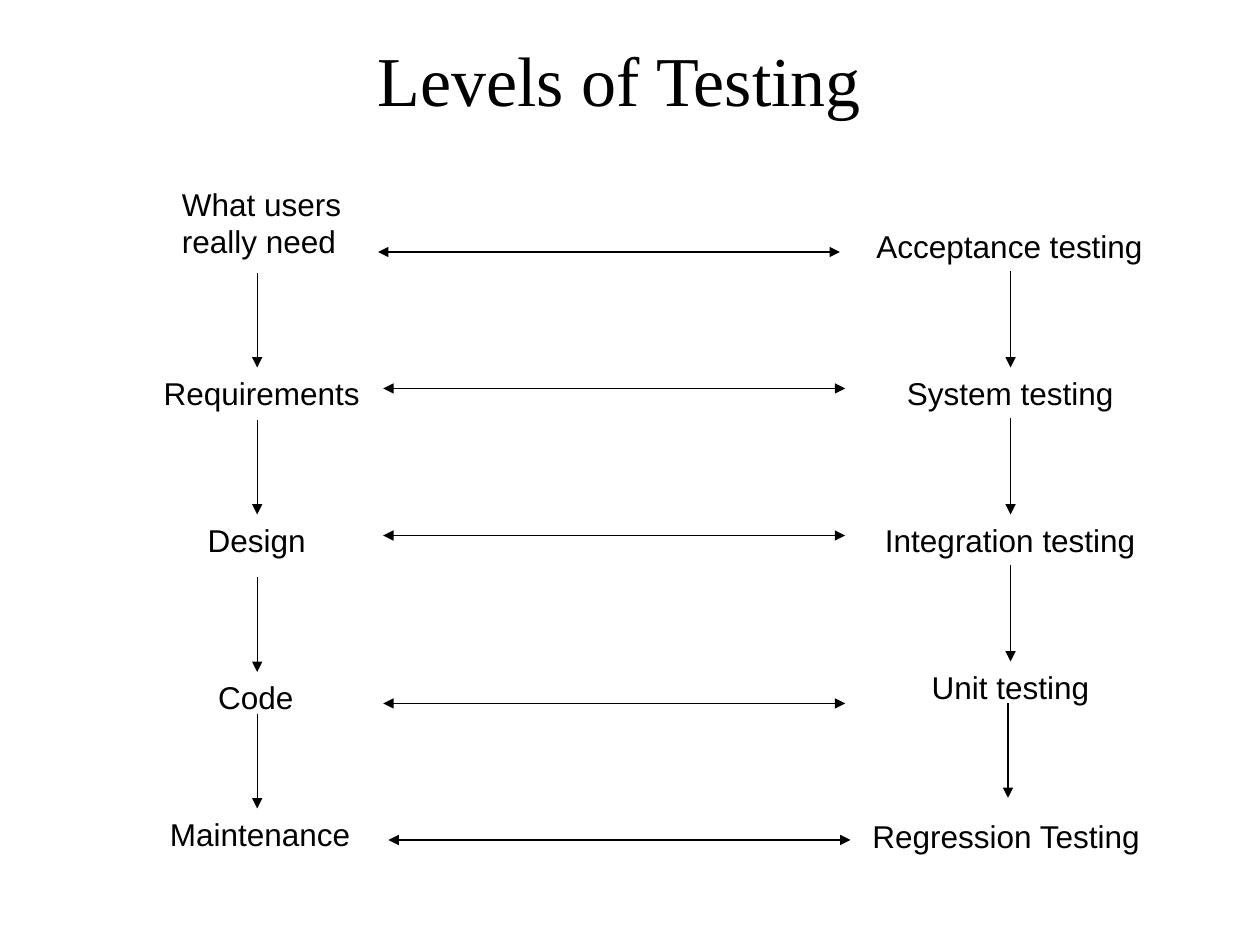
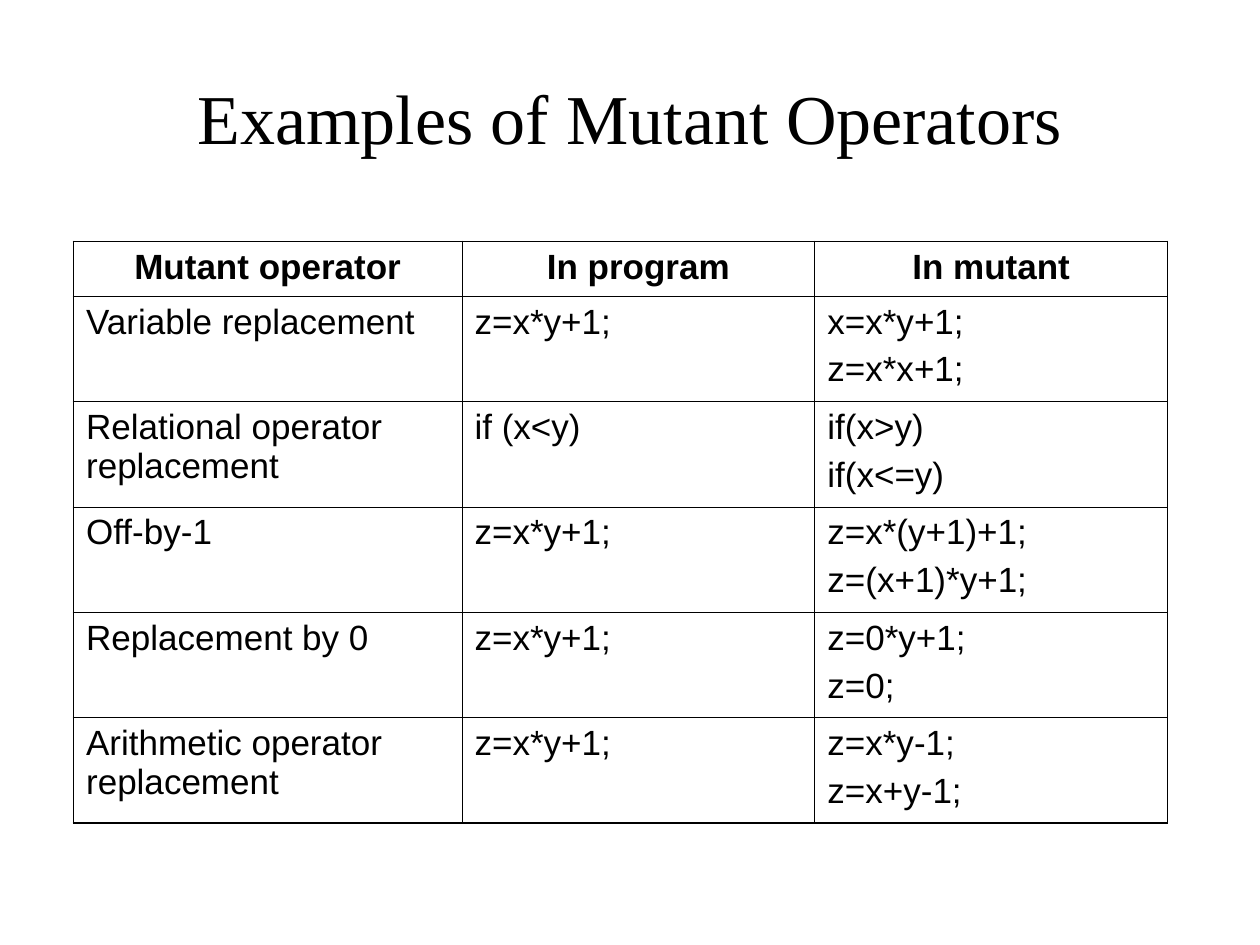
from lxml.etree import SubElement
from pptx import Presentation
from pptx.dml.color import RGBColor
from pptx.enum.shapes import MSO_CONNECTOR as Connector
from pptx.enum.text import MSO_ANCHOR as Anchor, MSO_AUTO_SIZE as AutoSize, PP_ALIGN as Align
from pptx.oxml.ns import qn
from pptx.util import Inches, Pt

COLORS = {"ink": "000000", "paper": "FFFFFF"}
TITLE_FONT, BODY_FONT = "Times New Roman", "Arial"
INK = RGBColor.from_string(COLORS["ink"])
PAPER = RGBColor.from_string(COLORS["paper"])

deck = Presentation()
deck.slide_width, deck.slide_height = Inches(10), Inches(7.5)
UNIT = deck.slide_width / 120  # grid of 120 columns by 90 rows


def write(frame, lines, font, size, align=Align.LEFT, bold=False, before=0):
    """Fill a text frame with one paragraph per line."""
    for index, line in enumerate(lines):
        para = frame.paragraphs[0] if index == 0 else frame.add_paragraph()
        para.alignment = align
        para.space_before = Pt(before)
        span = para.add_run()
        span.text = line
        span.font.name, span.font.size = font, Pt(size)
        span.font.bold = bold
        span.font.color.rgb = INK


def add_arrow(page, x, y, across=0, down=0, both_ends=False):
    """Draw an arrow from a grid point, with a head at one or both ends."""
    ends = [round(value * UNIT) for value in (x, y, x + across, y + down)]
    arrow = page.shapes.add_connector(Connector.STRAIGHT, *ends)
    arrow.line.color.rgb = INK
    arrow.line.width = Pt(0.75)
    line = arrow.line._get_or_add_ln()
    for tag in ("a:headEnd", "a:tailEnd") if both_ends else ("a:tailEnd",):
        SubElement(line, qn(tag), type="triangle")
    SubElement(arrow._element.spPr, qn("a:effectLst"))
    return arrow


# Pages and their titles: left, top, width, height
titles = [
    ("Levels of Testing", (5, 0, 108, 15)),
    ("Examples of Mutant Operators", (6, 2.5, 108, 17.2)),
]
pages = []
for title, area in titles:
    page = deck.slides.add_slide(deck.slide_layouts[6])
    page.background.fill.solid()
    page.background.fill.fore_color.rgb = PAPER
    box = page.shapes.add_textbox(*[round(value * UNIT) for value in area])
    box.text_frame.word_wrap = True
    box.text_frame.vertical_anchor = Anchor.MIDDLE
    write(box.text_frame, [title], TITLE_FONT, 40, Align.CENTER)
    pages.append(page)
levels_page, mutants_page = pages

# Levels: text, centre column, top row, width, height
LEFT, RIGHT, LINE = 24.5, 96.25, 4.8
stages = [
    (["What users", "really need"], 25, 17, 17.7, 8.4),
    (["Requirements"], 25, 35, 21.2, LINE),
    (["Design"], LEFT, 49, 11.8, LINE),
    (["Code"], LEFT, 64, 9.8, LINE),
    (["Maintenance"], 25, 77, 20, LINE),
]
tests = [
    (["Acceptance testing"], RIGHT, 21, 27.9, LINE),
    (["System testing"], RIGHT, 35, 22.1, LINE),
    (["Integration testing"], RIGHT, 49, 26.3, LINE),
    (["Unit testing"], RIGHT, 63, 17.4, LINE),
    (["Regression Testing"], 96, 77.2, 28.2, LINE),
]
columns = []
for entries in (stages, tests):
    boxes = []
    for lines, centre, top, width, height in entries:
        area = (centre - width / 2, top, width, height)
        box = levels_page.shapes.add_textbox(*[round(value * UNIT) for value in area])
        box.text_frame.word_wrap = False
        box.text_frame.auto_size = AutoSize.SHAPE_TO_FIT_TEXT
        write(box.text_frame, lines, BODY_FONT, 18)
        boxes.append(box)
    columns.append(boxes)
stage_boxes, test_boxes = columns

# Downward arrows, joined where they meet the middle of a box side
STEP = 9
stage_arrows = [add_arrow(levels_page, LEFT, row, down=STEP) for row in (26, 40, 55, 68)]
for index in (1, 2):
    stage_arrows[index].end_connect(stage_boxes[index + 1], 0)
for index, row in enumerate((26, 40, 54)):
    arrow = add_arrow(levels_page, RIGHT, row, down=STEP)
    arrow.begin_connect(test_boxes[index], 2)
    arrow.end_connect(test_boxes[index + 1], 0)
add_arrow(levels_page, 96, 67, down=STEP)

# Double arrows pairing each stage with its test
for column, row in ((36, 24), (36.5, 37), (36.5, 51), (36.5, 67), (37, 80)):
    add_arrow(levels_page, column, row, across=44, both_ends=True)

# Mutant operators table
records = [
    ("Mutant operator", "In program", "In mutant"),
    ("Variable replacement", "z=x*y+1;", "x=x*y+1;\nz=x*x+1;"),
    ("Relational operator replacement", "if (x<y)", "if(x>y)\nif(x<=y)"),
    ("Off-by-1", "z=x*y+1;", "z=x*(y+1)+1;\nz=(x+1)*y+1;"),
    ("Replacement by 0", "z=x*y+1;", "z=0*y+1;\nz=0;"),
    ("Arithmetic operator replacement", "z=x*y+1;", "z=x*y-1;\nz=x+y-1;"),
]
widths = [37, 33.6, 33.6]
heights = [5.2] + [10.04] * 5
area = (7, 23, sum(widths), sum(heights))
table = mutants_page.shapes.add_table(
    len(records), len(widths), *[round(value * UNIT) for value in area]).table
table.first_row = table.horz_banding = False
for column, width in zip(table.columns, widths):
    column.width = round(width * UNIT)
for row, height in zip(table.rows, heights):
    row.height = round(height * UNIT)

last_row, last_column = len(records) - 1, len(widths) - 1
for r, record in enumerate(records):
    for c, text in enumerate(record):
        cell = table.cell(r, c)
        cell.margin_left = cell.margin_right = Inches(0.1)
        cell.margin_top = cell.margin_bottom = Inches(0.05)
        cell.fill.solid()
        cell.fill.fore_color.rgb = PAPER
        align = Align.CENTER if r == 0 else Align.LEFT
        write(cell.text_frame, text.split("\n"), BODY_FONT, 20, align, r == 0, before=5)

        # Outer edges are heavier than inner ones
        properties = cell._tc.get_or_add_tcPr()
        edges = {"a:lnL": c == 0, "a:lnR": c == last_column,
                 "a:lnT": r == 0, "a:lnB": r == last_row}
        for position, (tag, outer) in enumerate(edges.items()):
            edge = SubElement(properties, qn(tag), w=str(Pt(1.08 if outer else 0.45)))
            fill = SubElement(edge, qn("a:solidFill"))
            SubElement(fill, qn("a:srgbClr"), val=COLORS["ink"])
            properties.insert(position, edge)

deck.save("out.pptx")
